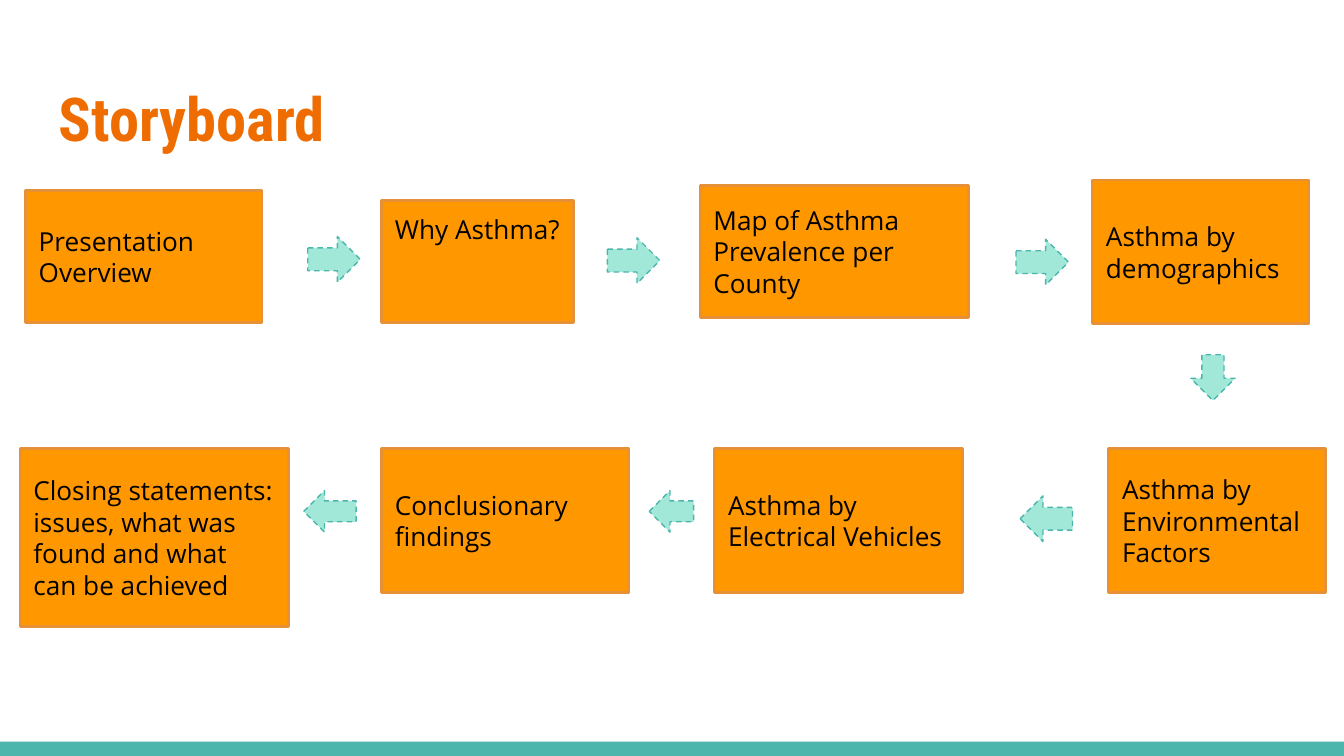
from dataclasses import dataclass

from pptx import Presentation
from pptx.dml.color import RGBColor
from pptx.enum.dml import MSO_LINE
from pptx.enum.shapes import MSO_SHAPE
from pptx.enum.text import MSO_ANCHOR, PP_ALIGN
from pptx.util import Pt

RECT = MSO_SHAPE.RECTANGLE
RIGHT, LEFT, DOWN = MSO_SHAPE.RIGHT_ARROW, MSO_SHAPE.LEFT_ARROW, MSO_SHAPE.DOWN_ARROW
TOP, MIDDLE = MSO_ANCHOR.TOP, MSO_ANCHOR.MIDDLE
DASH = MSO_LINE.DASH
ALIGN_LEFT = PP_ALIGN.LEFT


@dataclass(frozen=True)
class Theme:
    heading: RGBColor = RGBColor.from_string("EF6C00")
    step: RGBColor = RGBColor.from_string("FF9800")
    step_edge: RGBColor = RGBColor.from_string("E69138")
    arrow: RGBColor = RGBColor.from_string("A1E8D9")
    accent: RGBColor = RGBColor.from_string("4DB6AC")
    ink: RGBColor = RGBColor.from_string("000000")
    heading_font: str = "Roboto Condensed"
    body_font: str = "Open Sans"
    heading_size: float = 32.4
    body_size: float = 14
    inset: float = 7.2


THEME = Theme()
SLIDE_W, SLIDE_H = 720, 405

# Boxes are left, top, width, height; those in a row are relative to the row
TITLE_BOX = (24.5, 35.3, 671, 55.4)
FOOTER_BOX = (0, 397.4, SLIDE_W, 7.6)
TOP_ROW_BOX = (0, 96.5, SLIDE_W, 77)
TURN_BOX = (637.9, 190.1, 23.8, 24.5)
BOTTOM_ROW_BOX = (0, 240.5, SLIDE_W, 95)

TOP_STEPS = [
    ("Presentation Overview", (13.7, 5.7, 126.7, 70.6), MIDDLE),
    ("Why Asthma?", (204.5, 10.8, 103, 65.5), TOP),
    ("Map of Asthma Prevalence per County", (375.1, 2.9, 144, 70.6), MIDDLE),
    ("Asthma by demographics", (585.4, 0, 115.9, 77), MIDDLE),
]
TOP_ARROWS = [
    (164.9, 30.2, 28.1, 24.5),
    (325.4, 30.9, 28.1, 24.5),
    (544.3, 31.7, 28.1, 24.5),
]
BOTTOM_STEPS = [
    ("Asthma by Environmental Factors", (594, 0, 115.9, 77), MIDDLE),
    ("Asthma by Electrical Vehicles", (383, 0, 132.5, 77), MIDDLE),
    ("Conclusionary findings", (204.5, 0, 132.5, 77), MIDDLE),
    ("Closing statements: issues, what was found and what can be achieved",
     (10.8, 0, 144, 95), MIDDLE),
]
BOTTOM_ARROWS = [
    (546.5, 25.2, 28.1, 24.5),
    (347.8, 22.3, 23.8, 22.3),
    (162.7, 22.3, 28.1, 22.3),
]


def set_format(target, values):
    for name, value in values.items():
        setattr(target, name, value)


def write(shape, wording, font, anchor):
    frame = shape.text_frame
    inset = Pt(THEME.inset)
    set_format(frame, {
        "word_wrap": True, "vertical_anchor": anchor,
        "margin_left": inset, "margin_right": inset,
        "margin_top": inset, "margin_bottom": inset,
    })
    paragraph = frame.paragraphs[0]
    paragraph.alignment = ALIGN_LEFT
    run = paragraph.add_run()
    run.text = wording
    color = font.pop("color")
    set_format(run.font, font)
    run.font.color.rgb = color


def add_panel(slide, box, kind, fill, edge=None, weight=0, dash=None):
    panel = slide.shapes.add_shape(kind, *map(Pt, box))
    panel.shadow.inherit = False
    panel.fill.solid()
    panel.fill.fore_color.rgb = fill
    if edge is None:
        panel.line.fill.background()
    else:
        panel.line.color.rgb = edge
        set_format(panel.line, {"width": Pt(weight), "dash_style": dash})
    return panel


def add_title(slide, box):
    title = slide.shapes.add_textbox(*map(Pt, box))
    write(title, "Storyboard", {
        "name": THEME.heading_font, "size": Pt(THEME.heading_size),
        "bold": True, "color": THEME.heading,
    }, MIDDLE)


def add_footer(slide, box):
    add_panel(slide, box, RECT, THEME.accent)


def add_arrow(slide, box, direction):
    add_panel(slide, box, direction, THEME.arrow, THEME.accent, 0.75, DASH)


def add_row(slide, box, steps, arrows, direction):
    def place(part):
        return (box[0] + part[0], box[1] + part[1], *part[2:])

    for wording, part, anchor in steps:
        step = add_panel(slide, place(part), RECT, THEME.step, THEME.step_edge, 1.5)
        write(step, wording, {
            "name": THEME.body_font, "size": Pt(THEME.body_size), "color": THEME.ink,
        }, anchor)
    for part in arrows:
        add_arrow(slide, place(part), direction)


def main():
    deck = Presentation()
    set_format(deck, {"slide_width": Pt(SLIDE_W), "slide_height": Pt(SLIDE_H)})
    slide = deck.slides.add_slide(deck.slide_layouts[6])

    # Frame of the slide
    add_footer(slide, FOOTER_BOX)
    add_title(slide, TITLE_BOX)

    # Story: along the top, down the right side, back along the bottom
    add_row(slide, TOP_ROW_BOX, TOP_STEPS, TOP_ARROWS, RIGHT)
    add_arrow(slide, TURN_BOX, DOWN)
    add_row(slide, BOTTOM_ROW_BOX, BOTTOM_STEPS, BOTTOM_ARROWS, LEFT)

    deck.save("out.pptx")


if __name__ == "__main__":
    main()
